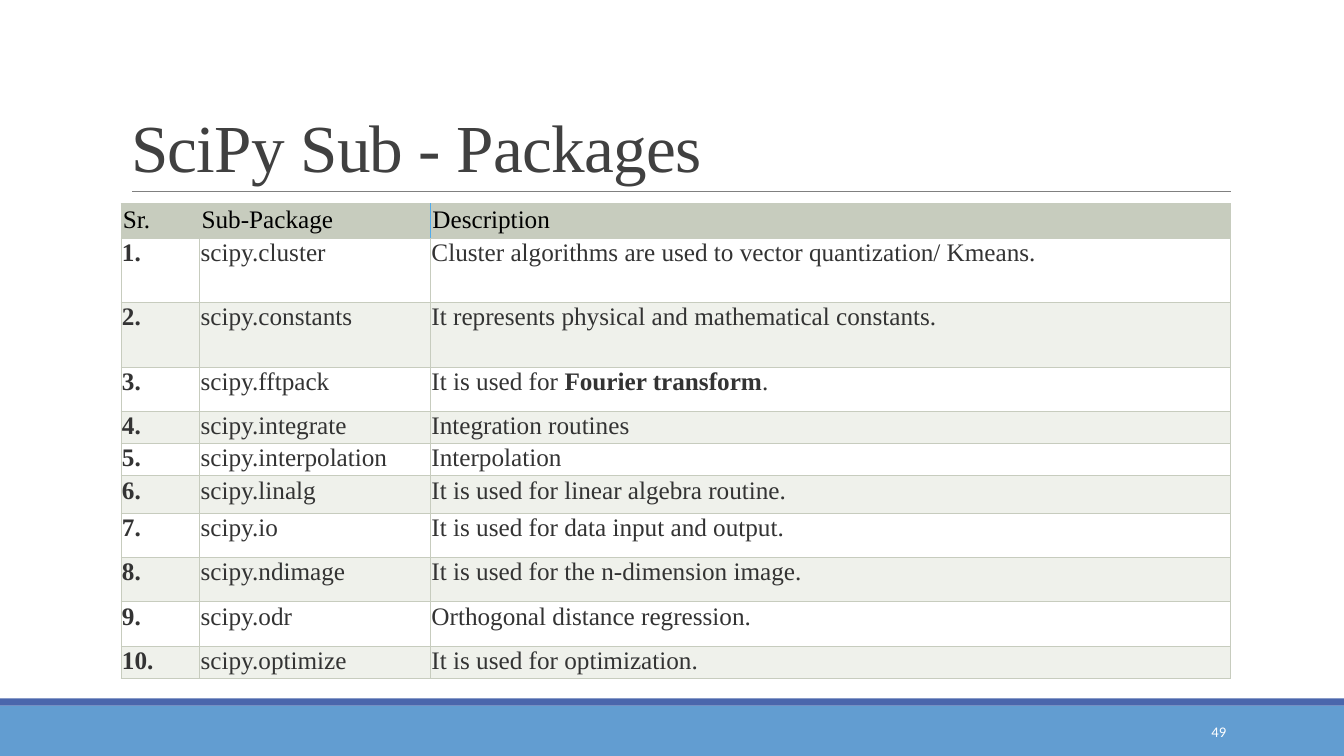
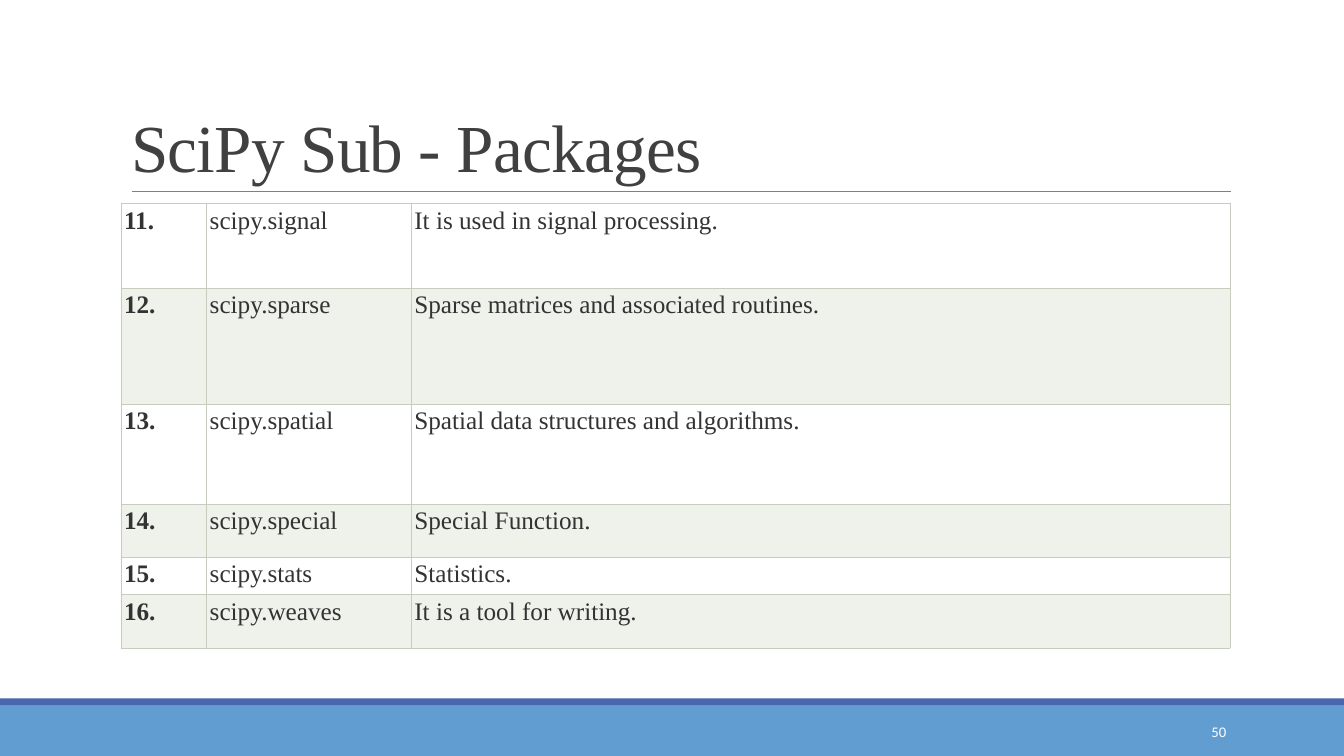
from lxml.etree import SubElement
from pptx import Presentation
from pptx.dml.color import RGBColor
from pptx.enum.shapes import MSO_CONNECTOR, MSO_SHAPE
from pptx.enum.text import MSO_ANCHOR, MSO_AUTO_SIZE, PP_ALIGN
from pptx.oxml.ns import qn
from pptx.util import Inches, Pt

SERIF = "Times New Roman"
SANS = "Calibri"
SLIDE_WIDTH, SLIDE_HEIGHT = 13.33, 7.5
TITLE = "SciPy Sub - Packages"
TITLE_COLOR = "404040"
RULE_COLOR = "808080"
BANDS = [(7, 0.5, "629DD1"), (6.93, 0.07, "4A66AC")]
WHITE = "FFFFFF"
TINT = "EFF1EB"
GRID = "C7CCBE"
ACCENT = "50ABEC"
HEADER_TEXT = "000000"
BODY_TEXT = "333333"

HEADINGS = ["Sr.", "Sub-Package", "Description"]
FIRST_PACKAGES = [
    ("cluster", ["Cluster algorithms are used to vector quantization/ Kmeans."]),
    ("constants", ["It represents physical and mathematical constants."]),
    ("fftpack", ["It is used for ", "Fourier transform", "."]),
    ("integrate", ["Integration routines"]),
    ("interpolation", ["Interpolation"]),
    ("linalg", ["It is used for linear algebra routine."]),
    ("io", ["It is used for data input and output."]),
    ("ndimage", ["It is used for the n-dimension image."]),
    ("odr", ["Orthogonal distance regression."]),
    ("optimize", ["It is used for optimization."]),
]
MORE_PACKAGES = [
    ("signal", ["It is used in signal processing."]),
    ("sparse", ["Sparse matrices and associated routines."]),
    ("spatial", ["Spatial data structures and algorithms."]),
    ("special", ["Special Function."]),
    ("stats", ["Statistics."]),
    ("weaves", ["It is a tool for writing."]),
]


def rgb(color):
    return RGBColor.from_string(color)


def add_run(paragraph, text, size, color, font=SERIF, bold=False):
    run = paragraph.add_run()
    run.text = text
    run.font.name = font
    run.font.size = Pt(size)
    run.font.bold = bold
    run.font.color.rgb = rgb(color)
    return run


def add_title(slide):
    title = slide.shapes.title
    title.left, title.top = Inches(1.2), Inches(0.31)
    title.width, title.height = Inches(11), Inches(1.59)
    frame = title.text_frame
    frame.auto_size = MSO_AUTO_SIZE.NONE
    frame.vertical_anchor = MSO_ANCHOR.BOTTOM
    paragraph = frame.paragraphs[0]
    paragraph.alignment = PP_ALIGN.LEFT
    paragraph.line_spacing = 0.85
    run = add_run(paragraph, TITLE, 48, TITLE_COLOR)
    run.font._element.set("spc", "-50")


def add_bands(slide):
    for top, height, color in BANDS:
        band = slide.shapes.add_shape(
            MSO_SHAPE.RECTANGLE, 0, Inches(top), Inches(SLIDE_WIDTH), Inches(height)
        )
        band.shadow.inherit = False
        band.fill.solid()
        band.fill.fore_color.rgb = rgb(color)
        band.line.fill.background()


def add_title_rule(slide):
    rule = slide.shapes.add_connector(
        MSO_CONNECTOR.STRAIGHT, Inches(1.31), Inches(1.9), Inches(12.21), Inches(1.9)
    )
    rule.line.color.rgb = rgb(RULE_COLOR)
    rule.line.width = Pt(0.5)
    SubElement(rule.element.spPr, qn("a:effectLst"))


def add_page_number(slide, number):
    box = slide.shapes.add_textbox(Inches(10.83), Inches(7.06), Inches(1.43), Inches(0.4))
    frame = box.text_frame
    frame.word_wrap = True
    frame.vertical_anchor = MSO_ANCHOR.MIDDLE
    paragraph = frame.paragraphs[0]
    paragraph.alignment = PP_ALIGN.RIGHT
    add_run(paragraph, str(number), 10.5, WHITE, SANS)


def add_package_slide(prs, number):
    slide = prs.slides.add_slide(prs.slide_layouts[5])
    add_bands(slide)
    add_title_rule(slide)
    add_title(slide)
    add_page_number(slide, number)
    return slide


def set_borders(cell, **accents):
    properties = cell._tc.get_or_add_tcPr()
    for side in "LRTB":
        border = SubElement(properties, qn(f"a:ln{side}"), w=str(Pt(0.5)))
        fill = SubElement(border, qn("a:solidFill"))
        SubElement(fill, qn("a:srgbClr"), val=accents.get(side, GRID))


def format_cell(cell, fill, inset):
    cell.margin_left = cell.margin_right = Inches(inset)
    cell.margin_top = cell.margin_bottom = Inches(inset)
    cell.fill.solid()
    cell.fill.fore_color.rgb = rgb(fill)


def fill_header(table):
    accents = [{}, {"R": ACCENT}, {"L": ACCENT}]
    for cell, heading, accent in zip(table.rows[0].cells, HEADINGS, accents):
        set_borders(cell, **accent)
        format_cell(cell, GRID, 0.02)
        add_run(cell.text_frame.paragraphs[0], heading, 18, HEADER_TEXT)


def fill_package(row, number, package, description, fill, inset):
    contents = [[f"{number}."], [f"scipy.{package}"], description]
    for column, (cell, texts) in enumerate(zip(row.cells, contents)):
        set_borders(cell)
        format_cell(cell, fill, inset)
        paragraph = cell.text_frame.paragraphs[0]
        paragraph.alignment = PP_ALIGN.JUSTIFY
        for index, text in enumerate(texts):
            bold = column == 0 or index == 1
            add_run(paragraph, text, 18, BODY_TEXT, bold=bold)


def add_package_table(slide, packages, first, widths, heights, inset, header=False):
    table = slide.shapes.add_table(
        len(heights), len(widths), Inches(1.2), Inches(2.02),
        Inches(sum(widths)), Inches(sum(heights)),
    ).table
    table.first_row = header
    table.horz_banding = False
    for column, width in zip(table.columns, widths):
        column.width = Inches(width)
    for row, height in zip(table.rows, heights):
        row.height = Inches(height)
    if header:
        fill_header(table)
    for index, (package, description) in enumerate(packages):
        row = table.rows[index + int(header)]
        fill = TINT if index % 2 else WHITE
        fill_package(row, first + index, package, description, fill, inset)


def main():
    prs = Presentation()
    prs.slide_width = Inches(SLIDE_WIDTH)
    prs.slide_height = Inches(SLIDE_HEIGHT)

    first_slide = add_package_slide(prs, 49)
    add_package_table(
        first_slide, FIRST_PACKAGES, 1, [0.78, 2.29, 7.93],
        [0.24, 0.64, 0.64, 0.44, 0.23, 0.23, 0.37, 0.44, 0.44, 0.44, 0.3],
        0.01, header=True,
    )

    second_slide = add_package_slide(prs, 50)
    add_package_table(
        second_slide, MORE_PACKAGES, 11, [0.85, 2.03, 8.12],
        [0.84, 1.15, 0.99, 0.53, 0.37, 0.53], 0.03,
    )

    prs.save("out.pptx")


if __name__ == "__main__":
    main()
